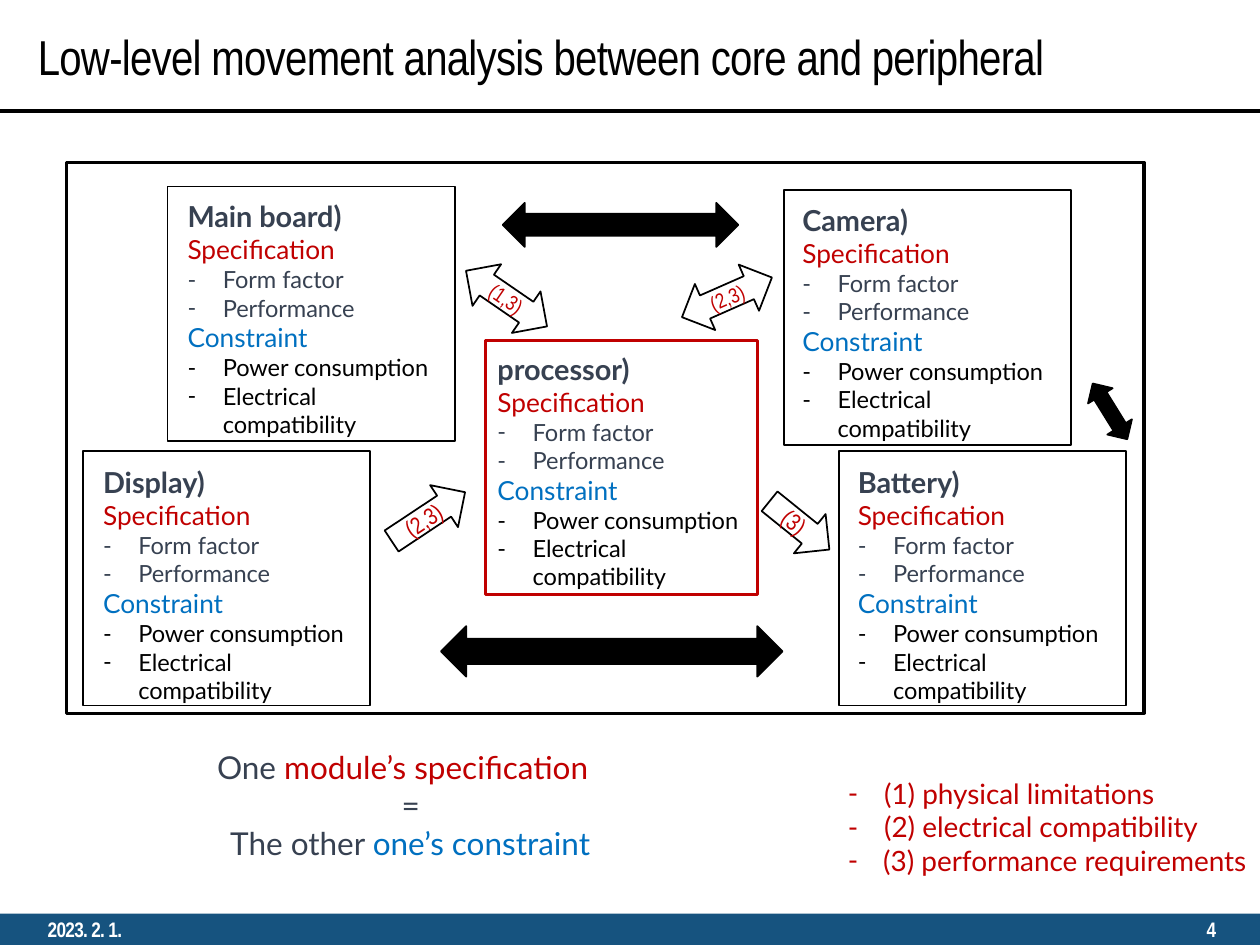
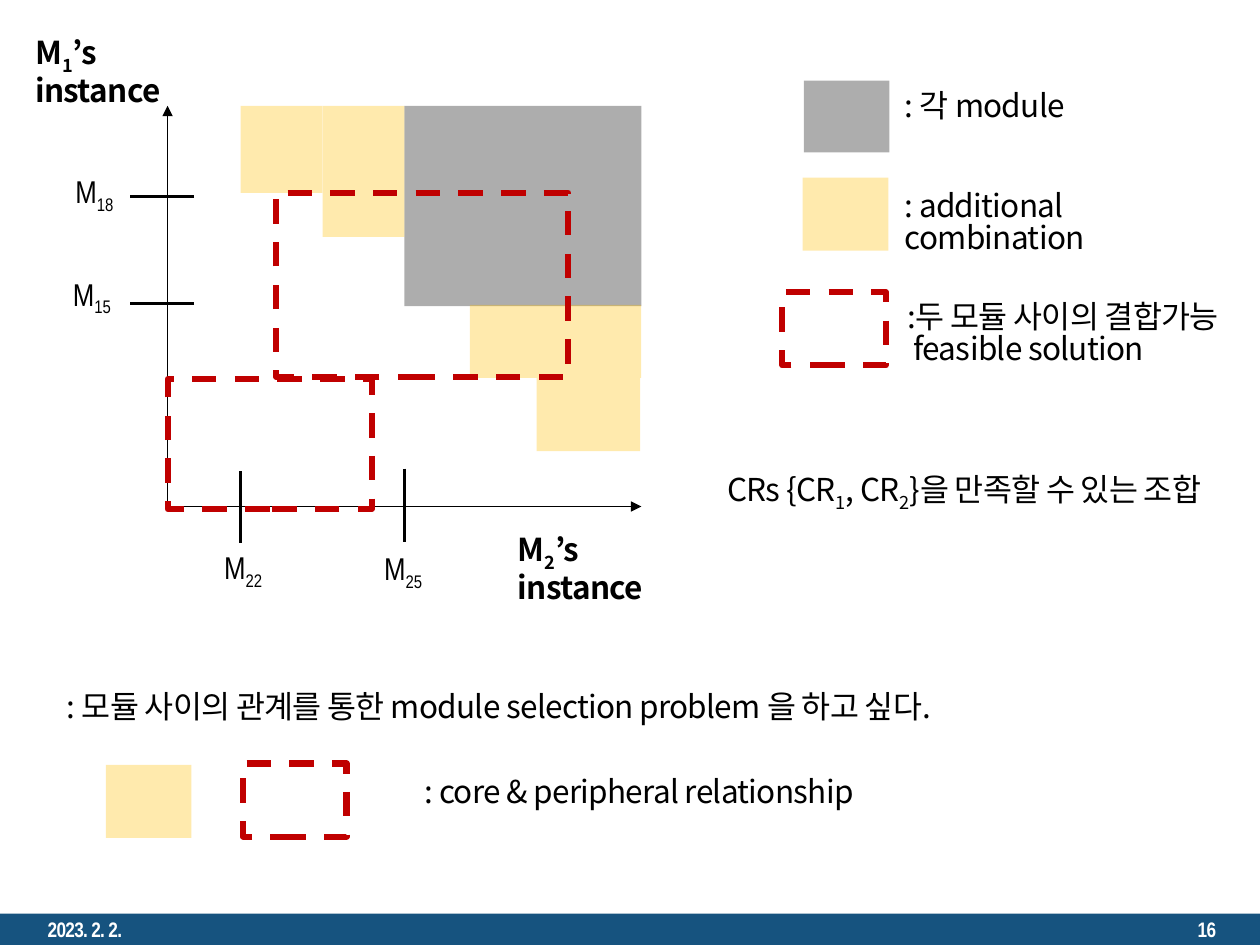
"""Build two slides: a module movement map and a module combination chart."""
from lxml import etree
from pptx import Presentation
from pptx import util as u
from pptx.dml.color import RGBColor
from pptx.enum import dml, shapes, text
from pptx.oxml import ns

HUES = {"black": "000000", "white": "FFFFFF", "band": "16537F", "slate": "374151",
        "red": "C00000", "blue": "0070C0", "gold": "FFC000"}
THIN, SANS, KOR = "Arial Narrow", "Lato", "Noto Sans CJK KR"
KIND = shapes.MSO_SHAPE
MID = text.MSO_ANCHOR.MIDDLE
LEFT, RIGHT, CENTER = text.PP_ALIGN.LEFT, text.PP_ALIGN.RIGHT, text.PP_ALIGN.CENTER


def draw(tree, kind, spot, fill=None, line=None, width=1, turn=0, clear=None, dash=False):
    shape = tree.add_shape(kind, *map(u.Inches, spot))
    shape.shadow.inherit = False
    shape.rotation = turn
    if fill:
        shape.fill.solid()
        shape.fill.fore_color.rgb = RGBColor.from_string(HUES[fill])
        if clear:
            tint = shape.fill._xPr.find(".//" + ns.qn("a:srgbClr"))
            etree.SubElement(tint, ns.qn("a:alpha")).set("val", str(clear * 1000))
    else:
        shape.fill.background()
    if line:
        shape.line.color.rgb = RGBColor.from_string(HUES[line])
        shape.line.width = u.Pt(width)
        if dash:
            shape.line.dash_style = dml.MSO_LINE.DASH
    else:
        shape.line.fill.background()
    return shape


def write(frame, rows, size=18, hue="black", face=SANS, bold=False, side=LEFT,
          kern=0, pad=None, lead=1.0, dents=()):
    frame.word_wrap = True
    frame.auto_size = text.MSO_AUTO_SIZE.NONE
    if pad is not None:
        frame.margin_left = frame.margin_right = u.Inches(pad)
        frame.margin_top = frame.margin_bottom = u.Inches(pad)
    for i, row in enumerate(rows):
        par = frame.add_paragraph() if i else frame.paragraphs[0]
        par.alignment, par.line_spacing = side, lead
        par.space_before = par.space_after = u.Pt(0)
        dent = dents[i] if dents else 0
        if dent:
            prop = par._p.get_or_add_pPr()
            prop.set("marL", str(u.Inches(dent)))
            prop.set("indent", str(-u.Inches(dent)))
            etree.SubElement(prop, ns.qn("a:buFont")).set("typeface", face)
            etree.SubElement(prop, ns.qn("a:buChar")).set("char", "-")
        for word, opts in row:
            run = par.add_run()
            run.text = word
            run.font.size = u.Pt(opts.get("size", size))
            run.font.bold = opts.get("bold", bold)
            run.font.name = face
            run.font.color.rgb = RGBColor.from_string(HUES[opts.get("hue", hue)])
            prop = run._r.get_or_add_rPr()
            etree.SubElement(prop, ns.qn("a:ea")).set("typeface", face)
            if kern:
                prop.set("spc", str(round(kern * 100)))
            if "base" in opts:
                prop.set("baseline", str(opts["base"] * 1000))


deck = Presentation()
deck.slide_width, deck.slide_height = u.Inches(10), u.Inches(7.5)
move = deck.slides.add_slide(deck.slide_layouts[1])
plot = deck.slides.add_slide(deck.slide_layouts[6])

for slide, date, page in ((move, "2023. 2. 1.", "4"), (plot, "2023. 2. 2.", "16")):
    draw(slide.shapes, KIND.RECTANGLE, (0, 7.25, 10, 0.25), "band")
    for x, word, side in ((0.28, date, LEFT), (7.5, page, RIGHT)):
        frame = slide.shapes.add_textbox(*map(u.Inches, (x, 7.25, 2.25, 0.25))).text_frame
        frame.vertical_anchor = MID
        write(frame, [[(word, {})]], 12, "white", THIN, True, side, -0.4)

title, body = move.placeholders
for holder, spot in ((title, (0.2, 0.12, 9.38, 0.64)), (body, (6.63, 6.11, 3.37, 0.94))):
    holder.left, holder.top, holder.width, holder.height = map(u.Inches, spot)
title.text_frame.vertical_anchor = MID
write(title.text_frame,
      [[("Low-level movement analysis between core and peripheral", {})]],
      28, face=THIN, kern=-0.4)
write(body.text_frame,
      [[(" (1) physical limitations", {})], [(" (2) electrical compatibility", {})],
       [("(3) performance requirements", {})]],
      16, "red", dents=(0.23, 0.23, 0.28))

draw(move.shapes, KIND.RECTANGLE, (0.53, 1.29, 8.55, 4.37), line="black", width=1.75)
traits = [[("Specification", {"size": 15, "hue": "red"})],
          [("Form factor", {"hue": "slate"})],
          [("Performance", {"hue": "slate"})],
          [("Constraint", {"size": 15, "hue": "blue"})],
          [("Power consumption", {})],
          [("Electrical compatibility", {})]]
for name, x, y, wide, dx, dy, line, width in (
        ("processor)", 3.85, 2.7, 2.16, 0, 0.04, "red", 1.75),
        ("Main board)", 1.33, 1.48, 2.28, 0.06, 0.05, "black", 1),
        ("Camera)", 6.22, 1.51, 2.28, 0.05, 0.05, "black", 1),
        ("Display)", 0.66, 3.58, 2.28, 0.06, 0.06, "black", 1),
        ("Battery)", 6.66, 3.58, 2.28, 0.05, 0.06, "black", 1)):
    group = move.shapes.add_group_shape().shapes
    draw(group, KIND.RECTANGLE, (x, y, wide, 2.02), line=line, width=width)
    frame = group.add_textbox(*map(u.Inches, (x + dx, y + dy, 2.16, 2.02))).text_frame
    head = [(name, {"size": 16.5, "hue": "slate", "bold": True})]
    write(frame, [head] + traits, 13.5, dents=(0, 0, 0.28, 0.28, 0, 0.28, 0.28))

BOTH, ONE = KIND.LEFT_RIGHT_ARROW, KIND.RIGHT_ARROW
for kind, spot, turn, word, size in (
        (BOTH, (3.63, 2.17, 0.78, 0.4), 34.5, "(1,3)", 12),
        (ONE, (3.05, 3.9, 0.7, 0.4), 326.4, "(2,3)", 13.5),
        (BOTH, (5.38, 2.16, 0.78, 0.4), 336.2, "(2,3)", 12),
        (ONE, (6.04, 3.97, 0.61, 0.4), 38.9, "(3)", 13.5)):
    arrow = draw(move.shapes, kind, spot, line="black", turn=turn)
    arrow.text_frame.vertical_anchor = MID
    write(arrow.text_frame, [[(word, {})]], size, "red", THIN, side=CENTER)
    arrow.text_frame.word_wrap = False
for spot, turn in (((3.5, 4.97, 2.71, 0.4), 0), ((8.55, 3.15, 0.52, 0.23), 238.2),
                   ((3.99, 1.61, 1.87, 0.35), 0)):
    draw(move.shapes, BOTH, spot, "black", "black", turn=turn)

frame = move.shapes.add_textbox(*map(u.Inches, (0.53, 5.89, 5.46, 1.01))).text_frame
write(frame, [[("One ", {}), ("module’s specification  ", {"hue": "red"})],
              [("=", {})],
              [(" The other ", {}), ("one’s constraint ", {"hue": "blue"})]],
      hue="slate", side=CENTER)

for slide, x1, y1, x2, y2, width, tip in (
        (move, 0, 0.88, 10, 0.88, 2, False),
        (plot, 1.33, 4.02, 1.33, 0.84, 0.5, True),
        (plot, 1.33, 4.02, 5.09, 4.02, 0.5, True),
        (plot, 3.21, 3.72, 3.21, 4.3, 1.5, False),
        (plot, 1.91, 3.74, 1.91, 4.31, 1.5, False),
        (plot, 1.54, 2.41, 1.03, 2.41, 1.5, False),
        (plot, 1.54, 1.56, 1.03, 1.56, 1.5, False)):
    rule = slide.shapes.add_connector(shapes.MSO_CONNECTOR.STRAIGHT,
                                      *map(u.Inches, (x1, y1, x2, y2)))
    rule.line.color.rgb = RGBColor.from_string(HUES["black"])
    rule.line.width = u.Pt(width)
    if tip:
        etree.SubElement(rule.line._get_or_add_ln(), ns.qn("a:tailEnd")).set("type", "triangle")
    etree.SubElement(rule._element.spPr, ns.qn("a:effectLst"))

for hue, spots in (
        ("black", ((3.21, 0.84, 1.88, 1.59), (6.38, 0.64, 0.68, 0.57))),
        ("gold", ((2.56, 0.84, 0.65, 1.04), (3.73, 2.42, 1.36, 0.58),
                  (1.91, 0.84, 0.65, 0.69), (4.26, 3, 0.82, 0.58),
                  (6.37, 1.41, 0.68, 0.58), (0.84, 6.07, 0.68, 0.58)))):
    for spot in spots:
        draw(plot.shapes, KIND.RECTANGLE, spot, hue, clear=32)
for spot in ((2.19, 1.53, 2.32, 1.46), (1.33, 3.01, 1.62, 1.03),
             (6.21, 2.32, 0.82, 0.58), (1.93, 6.06, 0.82, 0.58)):
    draw(plot.shapes, KIND.RECTANGLE, spot, line="red", width=3.5, dash=True)

low = {"base": -25}
for x, y, wide, mark in ((2.95, 4.31, 0.97, "25"), (0.48, 2.13, 0.55, "15"),
                         (1.68, 4.3, 0.55, "22"), (0.5, 1.32, 0.55, "18")):
    frame = plot.shapes.add_textbox(*map(u.Inches, (x, y, wide, 0.4))).text_frame
    write(frame, [[("M", {}), (mark, low)]], face=THIN)
for x, y, mark in ((0.28, 0.26, "1"), (4.11, 4.21, "2")):
    frame = plot.shapes.add_textbox(*map(u.Inches, (x, y, 1.52, 0.3))).text_frame
    write(frame, [[("M", {}), (mark, low), ("’s instance", {})]],
          face=KOR, bold=True, kern=-0.4, pad=0, lead=0.95)
for x, y, wide, rows in (
        (7.18, 0.73, 1.3, [[(": 각 module", {})]]),
        (7.18, 1.52, 2.66, [[(": additional combination", {})]]),
        (7.2, 2.4, 2.77, [[(":두 모듈 사이의 결합가능", {})], [(" feasible solution", {})]]),
        (0.53, 5.5, 7.43,
         [[(": 모듈 사이의 관계를 통한 module selection problem 을 하고 싶다.", {})]]),
        (5.77, 3.75, 4.11,
         [[("CRs {CR", {}), ("1", low), (", CR", {}), ("2", low),
           ("}을 만족할 수 있는 조합", {})]]),
        (3.32, 6.17, 3.49, [[(" : core & peripheral relationship", {})]])):
    frame = plot.shapes.add_textbox(*map(u.Inches, (x, y, wide, 0.3))).text_frame
    write(frame, rows, face=KOR, kern=-0.4, pad=0, lead=0.85)

deck.save("out.pptx")
